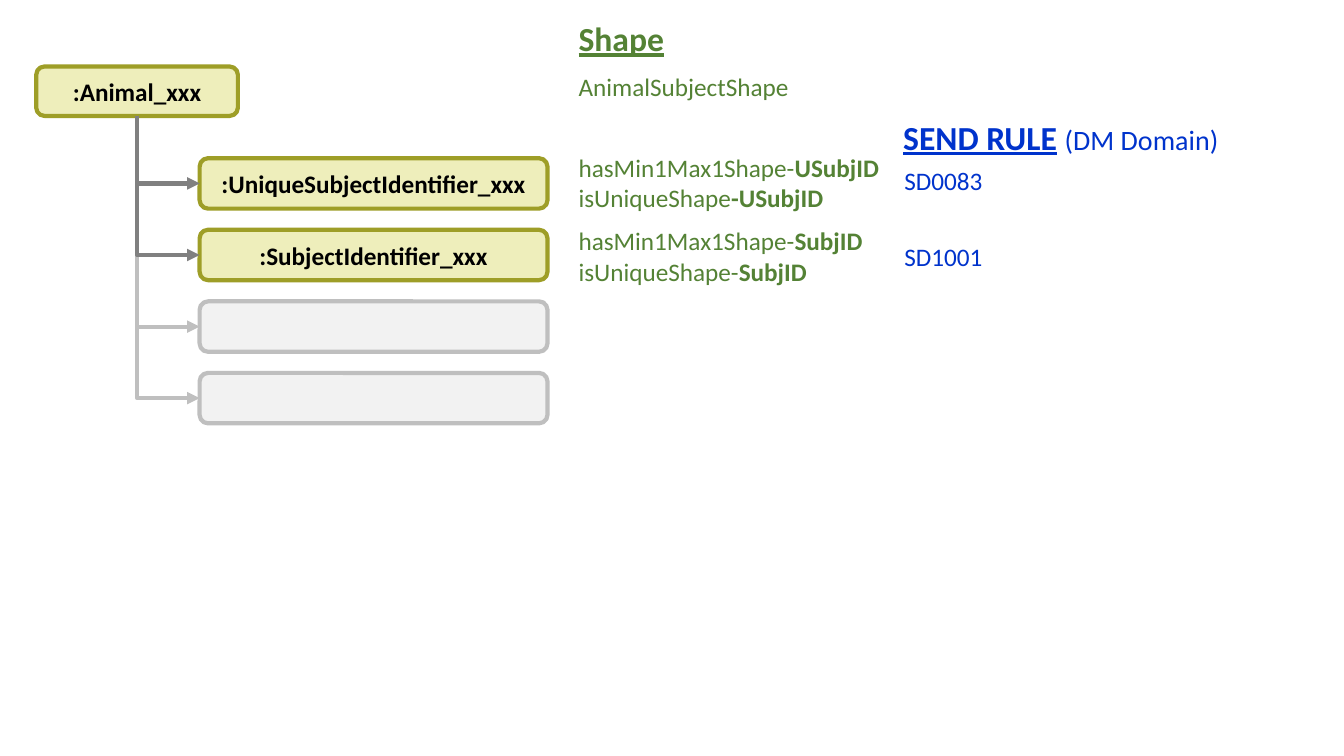
import pptx
import pptx.util
import pptx.dml.color
import pptx.enum.shapes
import pptx.enum.text
import pptx.oxml.ns
import lxml.etree
from dataclasses import dataclass

Inches, Pt = pptx.util.Inches, pptx.util.Pt
rgb = pptx.dml.color.RGBColor.from_string
qn = pptx.oxml.ns.qn


@dataclass
class Theme:
    font: str = "Calibri"
    heading: int = 24
    note: int = 20
    body: int = 18
    line: int = 3
    black: str = "000000"
    green: str = "548235"
    blue: str = "0033CC"
    node_fill: str = "EEEEBB"
    node_line: str = "9E9E27"
    empty_fill: str = "F2F2F2"
    empty_line: str = "BFBFBF"
    arrow: str = "808080"


th = Theme()
prs = pptx.Presentation()
prs.slide_width, prs.slide_height = Inches(13.33), Inches(7.5)
s = prs.slides.add_slide(prs.slide_layouts[6])


def add_run(p, text, color, size=th.body, bold=False, underline=False):
    r = p.add_run()
    r.text = text
    r.font.name = th.font
    r.font.size = Pt(size)
    r.font.bold = bold
    r.font.underline = underline
    r.font.color.rgb = rgb(color)


def add_node(x, y, w, h, label):
    sp = s.shapes.add_shape(pptx.enum.shapes.MSO_SHAPE.ROUNDED_RECTANGLE,
                            Inches(x), Inches(y), Inches(w), Inches(h))
    sp.shadow.inherit = False
    sp.fill.solid()
    sp.fill.fore_color.rgb = rgb(th.node_fill if label else th.empty_fill)
    sp.line.color.rgb = rgb(th.node_line if label else th.empty_line)
    sp.line.width = Pt(th.line)
    if label:
        tf = sp.text_frame
        tf.vertical_anchor = pptx.enum.text.MSO_ANCHOR.MIDDLE
        p = tf.paragraphs[0]
        p.alignment = pptx.enum.text.PP_ALIGN.CENTER
        add_run(p, label, th.black, bold=True)
    return sp


animal = add_node(0.36, 0.66, 2, 0.49, ":Animal_xxx")
labels = [":UniqueSubjectIdentifier_xxx", ":SubjectIdentifier_xxx", "", ""]
children = [add_node(1.98, 1.57 + 0.71 * i, 3.45, 0.5, label)
            for i, label in enumerate(labels)]

start_x = animal.left + animal.width // 2
start_y = animal.top + animal.height
for child, label in reversed(list(zip(children, labels))):
    end_x, end_y = child.left, child.top + child.height // 2
    run, drop = end_x - start_x, end_y - start_y
    c = s.shapes.add_connector(pptx.enum.shapes.MSO_CONNECTOR.ELBOW,
                               start_x, start_y, end_x, end_y)
    c.begin_connect(animal, 2)
    c.end_connect(child, 1)
    c.left = (start_x + end_x - drop) // 2
    c.top = (start_y + end_y - run) // 2
    c.width, c.height = drop, run
    c.line.color.rgb = rgb(th.arrow if label else th.empty_line)
    c.line.width = Pt(th.line)
    pr = c._element.spPr
    xfrm = pr.find(qn("a:xfrm"))
    xfrm.set("rot", "16200000")
    xfrm.set("flipH", "1")
    pr.find(qn("a:prstGeom")).set("prst", "bentConnector2")
    tail = lxml.etree.SubElement(pr.find(qn("a:ln")), qn("a:tailEnd"))
    tail.set("type", "triangle")
    lxml.etree.SubElement(pr, qn("a:effectLst"))

heading = dict(size=th.heading, bold=True)
bold = dict(bold=True)
texts = [
    (5.64, 0.13, 1.06, 0.5, th.green, [[("Shape", dict(heading, underline=True))]]),
    (5.64, 0.66, 2.31, 0.4, th.green, [[("AnimalSubjectShape", {})]]),
    (5.64, 1.46, 3.19, 0.71, th.green, [
        [("hasMin1Max1Shape-", {}), ("USubjID", bold)],
        [("isUniqueShape", {}), ("-USubjID ", bold)]]),
    (5.64, 2.19, 3.03, 0.71, th.green, [
        [("hasMin1Max1Shape-", {}), ("SubjID", bold)],
        [("isUniqueShape-", {}), ("SubjID ", bold)]]),
    (8.86, 1.11, 3.36, 0.5, th.blue, [
        [("SEND RULE", dict(heading, underline=True)), (" ", heading),
         ("(DM Domain)", dict(size=th.note))]]),
    (8.87, 1.59, 0.99, 0.4, th.blue, [[("SD0083", {})]]),
    (8.87, 2.34, 0.99, 0.4, th.blue, [[("SD1001", {})]]),
]
for x, y, w, h, color, lines in texts:
    tf = s.shapes.add_textbox(Inches(x), Inches(y), Inches(w), Inches(h)).text_frame
    tf.word_wrap = False
    tf.auto_size = pptx.enum.text.MSO_AUTO_SIZE.SHAPE_TO_FIT_TEXT
    for i, line in enumerate(lines):
        p = tf.add_paragraph() if i else tf.paragraphs[0]
        for text, style in line:
            add_run(p, text, color, **style)

prs.save("out.pptx")
